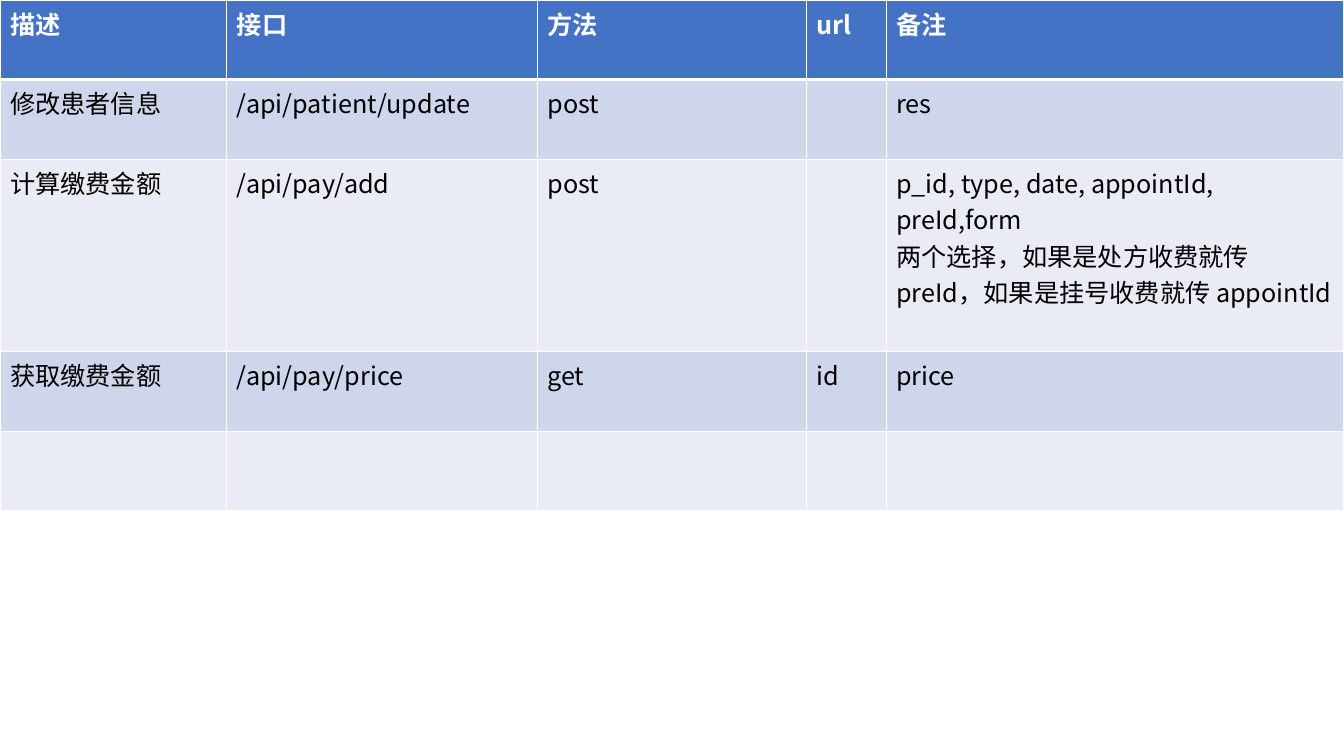
"""Build a slide with a table of patient and payment API endpoints."""
from lxml.etree import SubElement
from pptx import Presentation
from pptx.dml.color import RGBColor
from pptx.oxml.ns import qn
from pptx.util import Inches, Pt

FONT = "Noto Sans CJK SC"
COLORS = {"header": "4472C4", "odd": "CFD5EA", "even": "E9EBF5",
          "line": "FFFFFF", "head_text": "FFFFFF", "text": "000000"}
COL_WIDTHS = [2.25, 3.08, 2.67, 0.79, 4.54]
ROW_HEIGHT = 0.79
ROWS = [
    ["描述", "接口", "方法", "url", "备注"],
    ["修改患者信息", "/api/patient/update", "post", "", "res"],
    ["计算缴费金额", "/api/pay/add", "post", "",
     "p_id, type, date, appointId, preId,form\n"
     "两个选择，如果是处方收费就传preId，如果是挂号收费就传 appointId"],
    ["获取缴费金额", "/api/pay/price", "get", "id", "price"],
    [""] * 5,
]


def add_border(cell, side, width):
    ln = SubElement(cell._tc.get_or_add_tcPr(), qn(f"a:ln{side}"), w=str(Pt(width)))
    fill = SubElement(ln, qn("a:solidFill"))
    SubElement(fill, qn("a:srgbClr"), val=COLORS["line"])


prs = Presentation()
prs.slide_width, prs.slide_height = Inches(13.33), Inches(7.5)
s = prs.slides.add_slide(prs.slide_layouts[6])

table = s.shapes.add_table(len(ROWS), len(COL_WIDTHS), 0, 0, Inches(sum(COL_WIDTHS)),
                           Inches(ROW_HEIGHT * len(ROWS))).table
for col, width in zip(table.columns, COL_WIDTHS):
    col.width = Inches(width)

for i, texts in enumerate(ROWS):
    table.rows[i].height = Inches(ROW_HEIGHT)
    is_head = i == 0
    fill_key = "header" if is_head else "odd" if i % 2 else "even"
    for j, text in enumerate(texts):
        cell = table.cell(i, j)
        cell.text = text
        for side in "LRTB":
            at_head_edge = (i, side) in [(0, "B"), (1, "T")]
            add_border(cell, side, 3 if at_head_edge else 1)
        cell.fill.solid()
        cell.fill.fore_color.rgb = RGBColor.from_string(COLORS[fill_key])
        for p in cell.text_frame.paragraphs:
            p.font.size = Pt(18)
            p.font.bold = is_head
            p.font.name = FONT
            p.font.color.rgb = RGBColor.from_string(COLORS["head_text" if is_head else "text"])
            SubElement(p._p.pPr.find(qn("a:defRPr")), qn("a:ea"), typeface=FONT)

prs.save("out.pptx")
